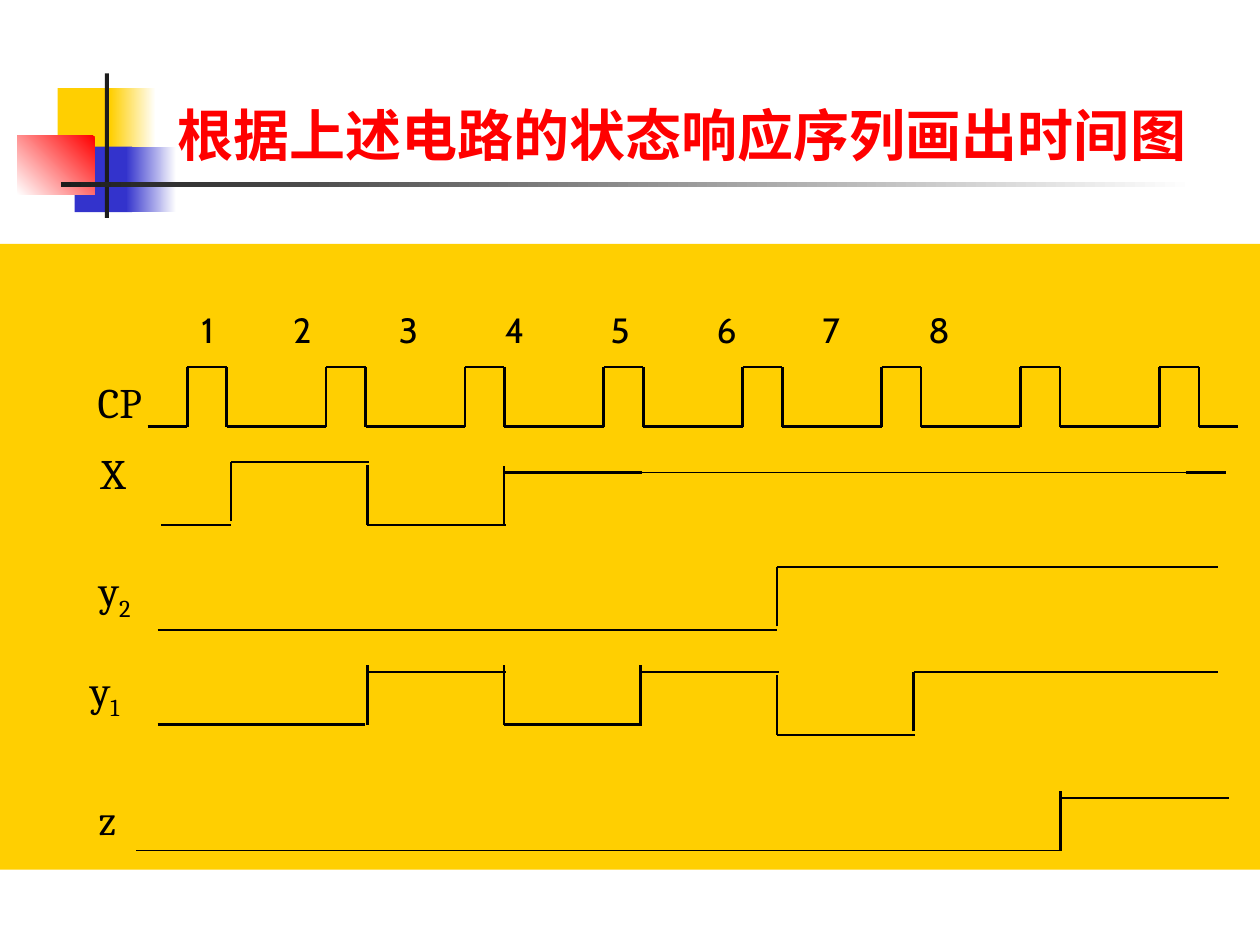
from pptx import Presentation
from pptx import util as u
from pptx.dml.color import RGBColor
from pptx.enum import shapes, text
from pptx.oxml.ns import qn
from lxml import etree

Pt = u.Pt
BLACK, YELLOW, BLUE, RED = "000000", "FFCF01", "3333CC", "FF0000"
DARK, WHITE = "1C1C1C", "FFFFFF"


def rgb(value):
    return RGBColor.from_string(value)


class TimingSlide:
    label_font, digit_font, title_font = "Cambria", "Cabin", "Times New Roman"
    thick, thin = 1.5, 0.75
    rise = 34

    def __init__(self, prs):
        self.s = prs.slides.add_slide(prs.slide_layouts[5])

    def place(self, sp, x, y, w, h):
        sp.left, sp.top, sp.width, sp.height = Pt(x), Pt(y), Pt(w), Pt(h)

    def style(self, p, size, font, color, bold=False):
        p.alignment = text.PP_ALIGN.LEFT
        p.font.size, p.font.name, p.font.bold = Pt(size), font, bold
        p.font.color.rgb = rgb(color)

    def title(self, words, x, y, w, h):
        sp = self.s.shapes.title
        self.place(sp, x, y, w, h)
        tf = sp.text_frame
        tf.text = words
        tf.word_wrap = True
        tf.auto_size = text.MSO_AUTO_SIZE.NONE
        tf.vertical_anchor = text.MSO_ANCHOR.TOP
        self.style(tf.paragraphs[0], 32, self.title_font, RED, True)

    def block(self, x, y, w, h, color, fade=None, angle=180):
        sp = self.s.shapes.add_shape(
            shapes.MSO_SHAPE.RECTANGLE, Pt(x), Pt(y), Pt(w), Pt(h))
        sp.shadow.inherit = False
        sp.line.fill.background()
        if fade:
            sp.fill.gradient()
            sp.fill.gradient_angle = angle
            for stop, value in zip(sp.fill.gradient_stops, (color, fade)):
                stop.color.rgb = rgb(value)
        else:
            sp.fill.solid()
            sp.fill.fore_color.rgb = rgb(color)

    def line(self, x1, y1, x2, y2, width=thick):
        c = self.s.shapes.add_connector(
            shapes.MSO_CONNECTOR.STRAIGHT, Pt(x1), Pt(y1), Pt(x2), Pt(y2))
        c.line.width = Pt(width)
        c.line.color.rgb = rgb(BLACK)
        etree.SubElement(c._element.spPr, qn("a:effectLst"))

    def level(self, x, y, length, width=thick):
        self.line(x, y, x + length, y, width)

    def edge(self, x, top):
        self.line(x, top + self.rise, x, top)

    def clock(self, x, top, period, pulse, count):
        low = top + self.rise
        self.level(x - pulse, low, pulse)
        for i in range(count):
            start = x + i * period
            end = start + pulse
            self.edge(start, top)
            self.edge(end, top)
            self.level(start, top, pulse)
            self.level(end, low, period - pulse if i < count - 1 else pulse)

    def label(self, name, x, y, w, h, sub=""):
        sp = self.s.shapes.add_textbox(Pt(x), Pt(y), Pt(w), Pt(h))
        tf = sp.text_frame
        tf.word_wrap = False
        p = tf.paragraphs[0]
        p.add_run().text = name
        if sub:
            r = p.add_run()
            r.text = sub
            r.font._element.set("baseline", "-25000")
        self.style(p, 24, self.label_font, BLACK)

    def digits(self, count, x, y, w, h, first_tab, pitch):
        sp = self.s.shapes.add_textbox(Pt(x), Pt(y), Pt(w), Pt(h))
        tf = sp.text_frame
        tf.word_wrap = True
        p = tf.paragraphs[0]
        p.text = "\t".join(str(n + 1) for n in range(count))
        tabs = etree.SubElement(p._p.get_or_add_pPr(), qn("a:tabLst"))
        for i in range(count - 1):
            etree.SubElement(tabs, qn("a:tab"),
                             pos=str(int(Pt(first_tab + i * pitch))), algn="l")
        self.style(p, 20, self.digit_font, BLACK)


def main():
    prs = Presentation()
    prs.slide_width, prs.slide_height = Pt(720), Pt(540)
    t = TimingSlide(prs)

    t.block(33, 50.4, 34.8, 37.5, YELLOW)
    t.block(63, 50.4, 26, 37.5, WHITE, YELLOW)
    t.block(42.6, 83.8, 33, 37.5, BLUE)
    t.block(72, 83.8, 28.8, 37.5, WHITE, BLUE)
    t.block(9.8, 77.7, 44.3, 33.5, RED, WHITE, 225)
    t.block(59.9, 42, 2.3, 82.5, DARK)
    t.block(34.8, 104.2, 648, 2.5, WHITE, DARK)
    t.block(0, 139.4, 720, 357.6, YELLOW)
    t.title("根据上述电路的状态响应序列画出时间图", 94.3, 54, 594, 72)

    t.digits(8, 108, 172.8, 582, 31.5, 52.4, 60.5)
    t.label("CP", 48.7, 211.8, 43.5, 36)
    t.label("X", 50.8, 252, 30, 36)
    t.label("y", 49.5, 319, 35.5, 40, "2")
    t.label("y", 44.4, 376, 35.5, 40, "1")
    t.label("z", 49.2, 450, 26.6, 36)

    t.clock(107, 209.8, 79.35, 22.6, 8)

    step, lead, thin = 79, 39.6, t.thin
    x1, x2, x3, x4, x5, x6, x7 = (132 + 78 * i for i in range(7))
    z_rise = 606
    waves = {
        "X": ([(92.2, 300, lead), (x1, 264, step), (x2, 300, step),
               (x3, 270, step), (x4, 270, 312, thin), (678, 270, 22.5)],
              [(x1, 264), (x2, 266), (x3, 266.4)]),
        "y2": ([(90, 360, lead), (126, 360, 2 * step),
                (282, 360, 162, thin), (x5, 324, step),
                (x6, 324, 174, thin)],
               [(x5, 324)]),
        "y1": ([(90, 414, lead), (129.6, 414, step), (x2, 384, step),
                (x3, 414, step), (x4, 384, step), (x5, 420, step),
                (x6, 384, step), (x7, 384, 96)],
               [(x2, 380), (x3, 380), (x4, 380), (x5, 386), (x6, 384)]),
        "z": ([(78, 486, 528, thin), (z_rise, 456, 96, thin)],
              [(z_rise, 452)]),
    }
    for levels, edges in waves.values():
        for level in levels:
            t.level(*level)
        for edge in edges:
            t.edge(*edge)

    prs.save("out.pptx")


if __name__ == "__main__":
    main()
